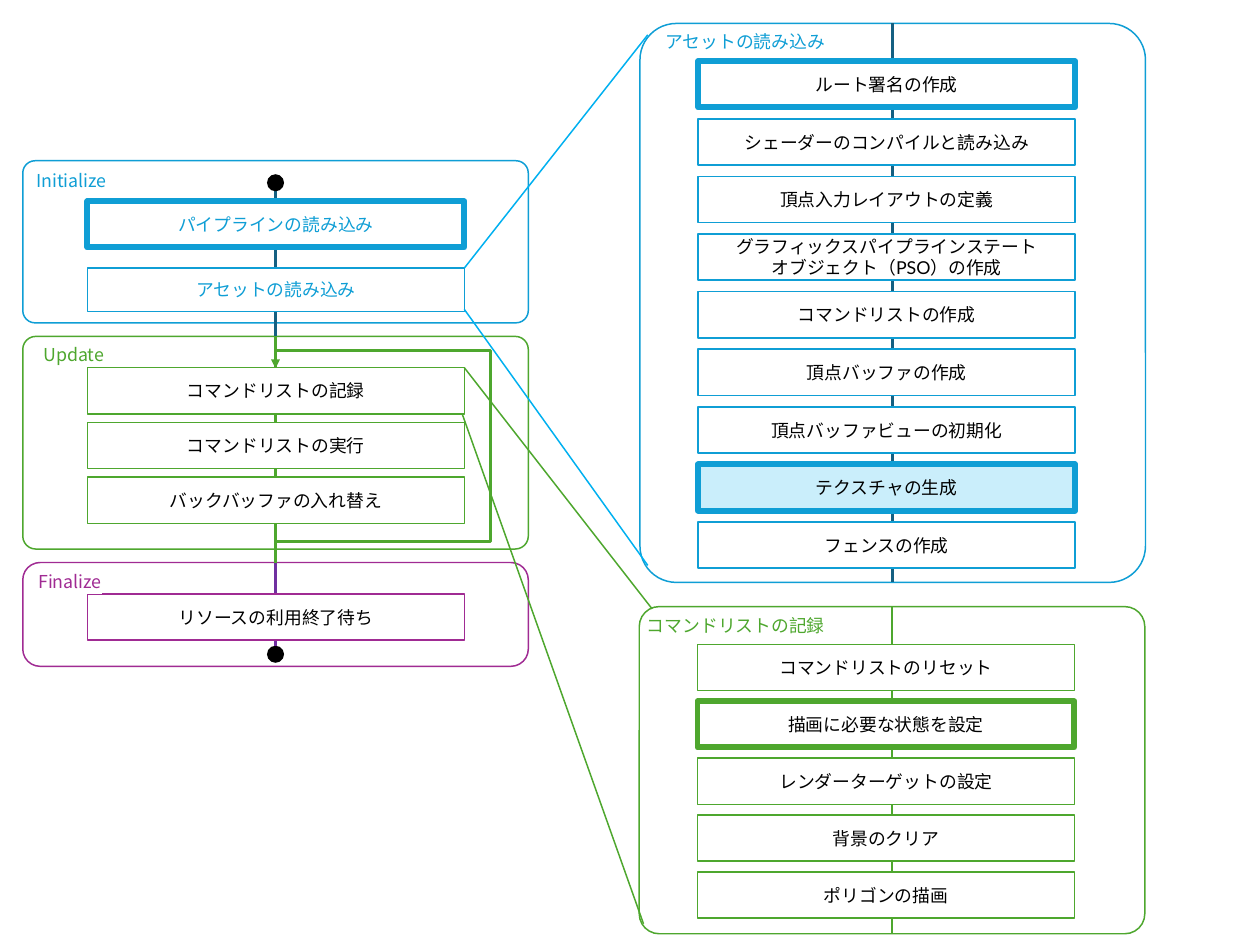
from lxml import etree
from pptx import Presentation
from pptx.dml.color import RGBColor
from pptx.enum import shapes, text
from pptx.oxml import ns
from pptx.util import Inches, Pt

BLUE, GREEN, PURPLE = "0F9ED5", "4EA72E", "A02B93"
TEAL, VIOLET, SKY = "156082", "7030A0", "00B0F0"
WHITE, BLACK, PALE_BLUE = "FFFFFF", "000000", "CAEEFB"
STEP_WIDTH, STEP_HEIGHT = 5.3, 0.65
DOT_SIZE = 0.24
THIN, MEDIUM, THICK = 1.5, 3, 6


def colour(value):
    return RGBColor.from_string(value)


def write(frame, words, value, font_name):
    frame.word_wrap = True
    frame.text = words
    paragraph = frame.paragraphs[0]
    paragraph.font.size = Pt(18)
    paragraph.font.name = font_name
    paragraph.font.color.rgb = colour(value)
    return paragraph


def add_shape(slide, kind, box, fill, line=None, width=THIN):
    shape = slide.shapes.add_shape(kind, *map(Inches, box))
    shape.shadow.inherit = False
    shape.fill.solid()
    shape.fill.fore_color.rgb = colour(fill)
    if line:
        shape.line.color.rgb = colour(line)
        shape.line.width = Pt(width)
    else:
        shape.line.fill.background()
    return shape


def add_panel(slide, box, line, rounding):
    panel = add_shape(slide, shapes.MSO_SHAPE.ROUNDED_RECTANGLE, box, WHITE, line)
    panel.adjustments[0] = rounding
    return panel


def add_step(slide, left, top, words, line, width=THIN, fill=WHITE,
             ink=BLACK, font_name="Lato", height=STEP_HEIGHT):
    box = (left, top, STEP_WIDTH, height)
    step = add_shape(slide, shapes.MSO_SHAPE.RECTANGLE, box, fill, line, width)
    step.text_frame.vertical_anchor = text.MSO_ANCHOR.MIDDLE
    paragraph = write(step.text_frame, words, ink, font_name)
    paragraph.alignment = text.PP_ALIGN.CENTER
    return step


def add_dot(slide, centre, top):
    box = (centre - DOT_SIZE / 2, top, DOT_SIZE, DOT_SIZE)
    return add_shape(slide, shapes.MSO_SHAPE.OVAL, box, BLACK)


def add_title(slide, left, top, width, words, value,
              font_name="Noto Sans CJK JP", highlight=False):
    title = slide.shapes.add_textbox(*map(Inches, (left, top, width, 0.4)))
    paragraph = write(title.text_frame, words, value, font_name)
    if highlight:
        properties = paragraph.runs[0].font._element
        mark = etree.SubElement(properties, ns.qn("a:highlight"))
        etree.SubElement(mark, ns.qn("a:srgbClr"), val=WHITE)


def add_line(slide, start, end, value, width=THIN):
    line = slide.shapes.add_connector(
        shapes.MSO_CONNECTOR.STRAIGHT, *map(Inches, start + end))
    line.line.color.rgb = colour(value)
    line.line.width = Pt(width)
    etree.SubElement(line._element.spPr, ns.qn("a:effectLst"))
    return line


def join(slide, first, first_side, last, last_side, value):
    spine = add_line(slide, (0, 0), (1, 1), value, MEDIUM)
    spine.begin_connect(first, first_side)
    spine.end_connect(last, last_side)


def add_loop(slide, points, value):
    corners = [(Inches(x), Inches(y)) for x, y in points]
    builder = slide.shapes.build_freeform(*corners[0])
    builder.add_line_segments(corners[1:], close=False)
    loop = builder.convert_to_shape()
    loop.shadow.inherit = False
    loop.fill.background()
    loop.line.color.rgb = colour(value)
    loop.line.width = Pt(MEDIUM)
    etree.SubElement(loop.line._get_or_add_ln(), ns.qn("a:tailEnd"), type="triangle")


def draw_finalize(slide, box):
    left, top, width, height = box
    panel = add_panel(slide, box, PURPLE, 0.167)
    end_dot = add_dot(slide, left + width / 2, top + 1.17)
    join(slide, end_dot, 0, panel, 0, VIOLET)
    add_step(slide, left + 0.91, top + 0.44, "リソースの利用終了待ち", PURPLE)
    add_title(slide, left + 0.12, top + 0.07, 1.52, "Finalize", PURPLE, highlight=True)
    return panel


def draw_update(slide, box, next_panel):
    left, top, width, height = box
    centre = left + width / 2
    panel = add_panel(slide, box, GREEN, 0.061)
    add_title(slide, left + 0.19, top + 0.06, 3.75, "Update", GREEN, highlight=True)
    # Frame loop back to the first step
    right, upper, lower = left + 6.58, top + 0.2, top + 2.89
    add_loop(slide, [(centre, top + 2.64), (centre, lower), (right, lower),
                     (right, upper), (centre, upper), (centre, top + 0.45)], GREEN)
    join(slide, next_panel, 0, panel, 0, GREEN)
    names = ["コマンドリストの記録", "コマンドリストの実行", "バックバッファの入れ替え"]
    for index, name in enumerate(names):
        add_step(slide, left + 0.91, top + 0.44 + 0.77 * index, name, GREEN)
    return panel


def draw_initialize(slide, box, next_panel):
    left, top, width, height = box
    centre = left + width / 2
    add_panel(slide, box, BLUE, 0.076)
    spine = add_line(slide, (centre, top + 0.43), (centre, top + 2.47), TEAL, MEDIUM)
    spine.end_connect(next_panel, 0)
    add_step(slide, left + 0.91, top + 0.57, "パイプラインの読み込み", BLUE, THICK,
             ink=BLUE, font_name="Noto Sans CJK JP")
    add_dot(slide, centre, top + 0.19)
    add_step(slide, left + 0.91, top + 1.51, "アセットの読み込み", BLUE,
             ink=BLUE, font_name="Noto Sans CJK JP", height=0.61)
    add_title(slide, left + 0.09, top + 0.08, 1.73, "Initialize", BLUE, highlight=True)


def draw_detail(slide, box, line, spine, rounding, steps, pitch):
    """Steps are (words, outline width, fill), spaced evenly down the panel."""
    left, top, width, height = box
    panel = add_panel(slide, box, line, rounding)
    join(slide, panel, 0, panel, 2, spine)
    for index, (words, outline, fill) in enumerate(steps):
        add_step(slide, left + 0.82, top + 0.53 + pitch * index,
                 words, line, outline, fill)


def main():
    presentation = Presentation()
    presentation.slide_width = Inches(17.72)
    presentation.slide_height = Inches(13.33)
    slide = presentation.slides.add_slide(presentation.slide_layouts[6])

    # Main flow, each phase leading into the one below
    finalize = draw_finalize(slide, (0.32, 7.91, 7.11, 1.46))
    update = draw_update(slide, (0.32, 4.73, 7.11, 2.99), finalize)
    draw_initialize(slide, (0.32, 2.26, 7.11, 2.28), update)

    # Asset loading in detail
    asset_steps = [
        ("ルート署名の作成", THICK, WHITE),
        ("シェーダーのコンパイルと読み込み", THIN, WHITE),
        ("頂点入力レイアウトの定義", THIN, WHITE),
        ("グラフィックスパイプラインステート\vオブジェクト（PSO）の作成", THIN, WHITE),
        ("コマンドリストの作成", THIN, WHITE),
        ("頂点バッファの作成", THIN, WHITE),
        ("頂点バッファビューの初期化", THIN, WHITE),
        ("テクスチャの生成", THICK, PALE_BLUE),
        ("フェンスの作成", THIN, WHITE),
    ]
    draw_detail(slide, (9, 0.33, 7.11, 7.86), BLUE, TEAL, 0.072, asset_steps, 0.81)
    add_title(slide, 9.26, 0.39, 3.75, "アセットの読み込み", BLUE)

    # Command list recording in detail
    record_steps = [
        ("コマンドリストのリセット", THIN, WHITE),
        ("描画に必要な状態を設定", THICK, WHITE),
        ("レンダーターゲットの設定", THIN, WHITE),
        ("背景のクリア", THIN, WHITE),
        ("ポリゴンの描画", THIN, WHITE),
    ]
    draw_detail(slide, (8.99, 8.53, 7.11, 4.6), GREEN, GREEN, 0.061, record_steps, 0.8)
    add_title(slide, 9, 8.59, 3, "コマンドリストの記録", GREEN, "Lato")

    # Zoom lines from a step to its detail panel
    add_line(slide, (6.53, 5.17), (9.17, 8.56), GREEN)
    add_line(slide, (6.5, 5.82), (9.05, 12.99), GREEN)
    add_line(slide, (6.53, 3.77), (9.11, 0.49), SKY)
    add_line(slide, (6.53, 4.35), (9.11, 7.95), SKY)

    presentation.save("out.pptx")


if __name__ == "__main__":
    main()
